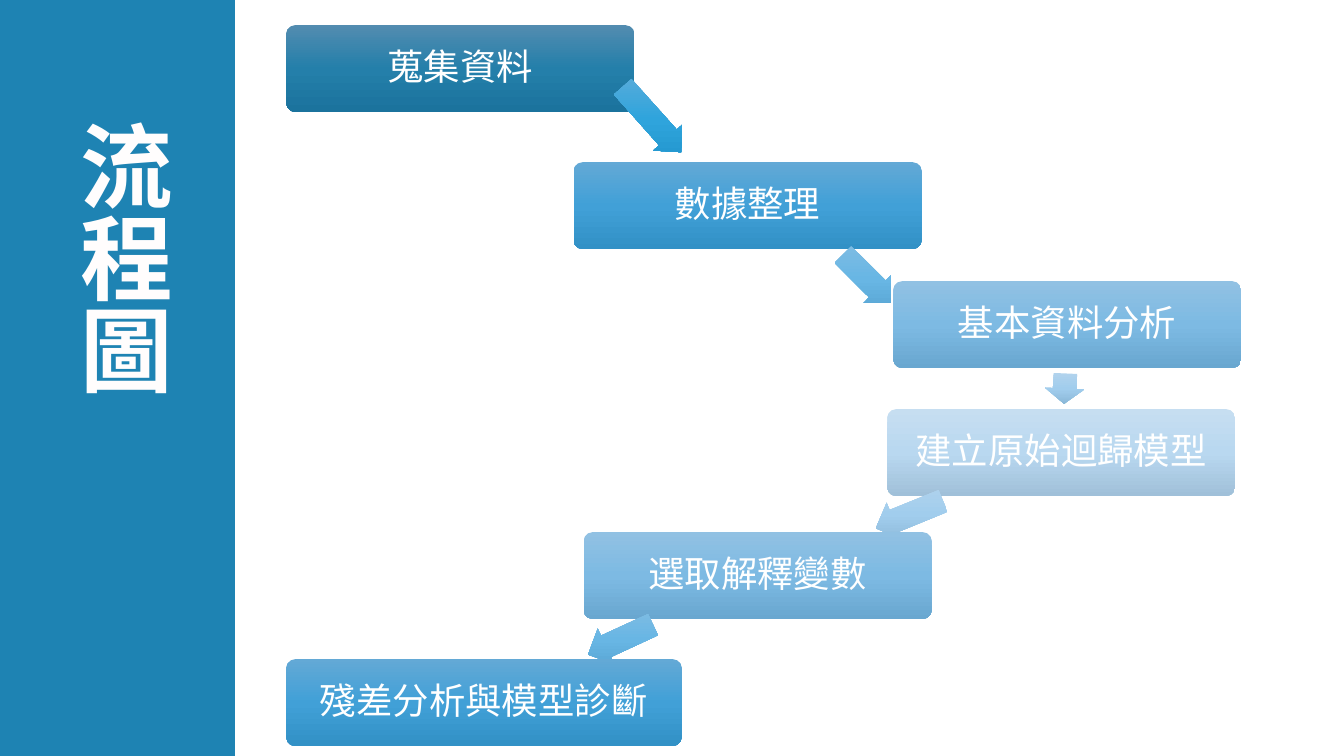
from copy import deepcopy

from lxml import etree
from pptx import Presentation
from pptx.dml.color import RGBColor
from pptx.enum.shapes import MSO_SHAPE
from pptx.enum.text import MSO_ANCHOR, MSO_AUTO_SIZE, PP_ALIGN
from pptx.oxml.ns import qn
from pptx.util import Inches, Pt

RECT = MSO_SHAPE.RECTANGLE
ROUNDED = MSO_SHAPE.ROUNDED_RECTANGLE
ARROW = MSO_SHAPE.RIGHT_ARROW
MIDDLE = MSO_ANCHOR.MIDDLE
GROW = MSO_AUTO_SIZE.SHAPE_TO_FIT_TEXT
CENTER, JUSTIFY = PP_ALIGN.CENTER, PP_ALIGN.JUSTIFY

FONT = "Noto Sans CJK SC"
COLORS = {"band": "1E83B3", "title": "FFFDFD", "step": "FFFFFF"}
# Top, middle and bottom of each vertical gradient
GRADIENTS = {
    "step dark": ("528CB0", "247FAA", "1B739D"),
    "step strong": ("63A9D6", "41A0D7", "3291C6"),
    "step medium": ("91C1E3", "7DBAE3", "69A7D0"),
    "step pale": ("C6DEF1", "B9D8F0", "A0C0D9"),
    "arrow strong": ("59ACDA", "2FA4DC", "2195CC"),
    "arrow medium": ("81BDE3", "68B6E4", "56A3D1"),
    "arrow pale": ("B1D3ED", "A1CDED", "8AB7D7"),
}
STEP_HEIGHT, ARROW_HEIGHT = 0.86, 0.39

# text, left, top, width, gradient
STEPS = [
    ("蒐集資料", 2.84, 0.25, 3.45, "step dark"),
    ("數據整理", 5.69, 1.61, 3.45, "step strong"),
    ("基本資料分析", 8.86, 2.79, 3.45, "step medium"),
    ("建立原始迴歸模型", 8.8, 4.06, 3.45, "step pale"),
    ("選取解釋變數", 5.79, 5.28, 3.45, "step medium"),
    ("殘差分析與模型診斷", 2.84, 6.54, 3.92, "step strong"),
]
# left, top, width, rotation, gradient
ARROWS = [
    (6.03, 0.99, 0.87, 48.3, "arrow strong"),
    (8.26, 2.57, 0.68, 44.9, "arrow medium"),
    (10.41, 3.66, 0.3, 92.4, "arrow pale"),
    (8.66, 4.91, 0.72, 157.8, "arrow pale"),
    (5.8, 6.15, 0.71, 155.2, "arrow medium"),
]


def add_block(kind, left, top, width, height, gradient=None):
    """Add a borderless shape, filled with a gradient or the band colour."""
    block = slide.shapes.add_shape(
        kind, Inches(left), Inches(top), Inches(width), Inches(height))
    block.shadow.inherit = False
    block.line.fill.background()
    if gradient is None:
        block.fill.solid()
        block.fill.fore_color.rgb = RGBColor.from_string(COLORS["band"])
        return block
    block.fill.gradient()
    block.fill.gradient_angle = 270
    grad_fill = block.element.spPr.find(qn("a:gradFill"))
    grad_fill.set("rotWithShape", "0")
    stop_list = grad_fill.find(qn("a:gsLst"))
    stop_list.insert(1, deepcopy(stop_list[0]))
    for i, stop in enumerate(block.fill.gradient_stops):
        stop.position = i / 2
        stop.color.rgb = RGBColor.from_string(GRADIENTS[gradient][i])
    return block


def add_text(paragraph, text, size, color, bold=False):
    run = paragraph.add_run()
    run.text = text
    run.font.size = Pt(size)
    run.font.bold = bold
    run.font.color.rgb = RGBColor.from_string(COLORS[color])
    run.font.name = FONT
    etree.SubElement(run.font._element, qn("a:ea"), typeface=FONT)


prs = Presentation()
prs.slide_width, prs.slide_height = Inches(13.33), Inches(7.5)
slide = prs.slides.add_slide(prs.slide_layouts[6])

# Title band
add_block(RECT, 0, 0, 2.33, 7.5)
title = slide.shapes.add_textbox(
    Inches(0.51), Inches(1.09), Inches(1.31), Inches(4.75))
title_frame = title.text_frame
title_frame.word_wrap = True
title_frame.auto_size = GROW
title_frame._txBody.bodyPr.set("vert", "eaVert")
title_frame.paragraphs[0].alignment = JUSTIFY
add_text(title_frame.paragraphs[0], "流程圖", 66, "title", bold=True)

# Flow: each step followed by the arrow to the next one
for i, (text, left, top, width, gradient) in enumerate(STEPS):
    step = add_block(ROUNDED, left, top, width, STEP_HEIGHT, gradient)
    step.adjustments[0] = 0.1
    frame = step.text_frame
    frame.word_wrap = True
    frame.vertical_anchor = MIDDLE
    frame.margin_left = frame.margin_right = Inches(0.11)
    frame.margin_top = frame.margin_bottom = Inches(0.11)
    label = frame.paragraphs[0]
    label.alignment = CENTER
    label.line_spacing = 0.9
    add_text(label, text, 26, "step")

    if i < len(ARROWS):
        left, top, width, rotation, gradient = ARROWS[i]
        arrow = add_block(ARROW, left, top, width, ARROW_HEIGHT, gradient)
        arrow.adjustments[0] = 0.6
        arrow.adjustments[1] = 0.5
        arrow.rotation = rotation

prs.save("out.pptx")
